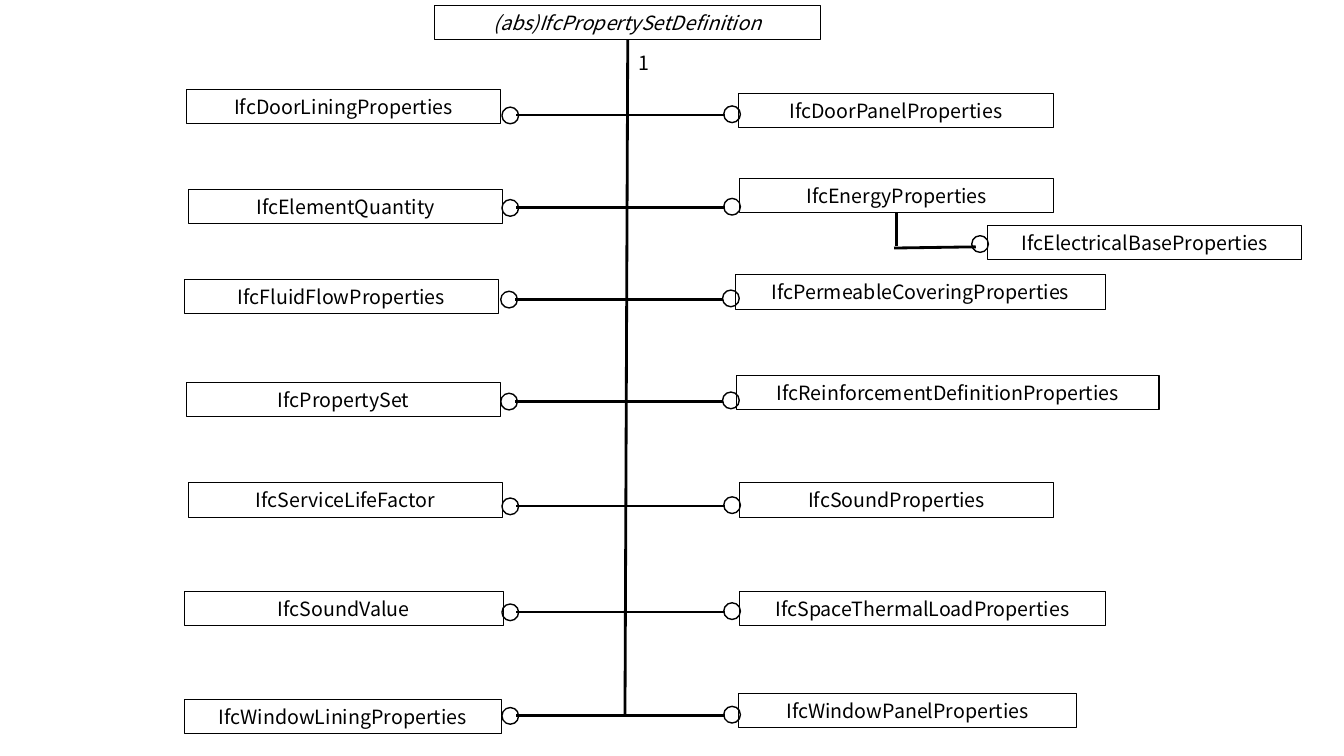
from dataclasses import dataclass
from lxml import etree
from pptx import Presentation
from pptx.dml.color import RGBColor
from pptx.enum.shapes import MSO_CONNECTOR, MSO_SHAPE
from pptx.enum.text import MSO_ANCHOR, PP_ALIGN
from pptx.oxml.ns import qn
from pptx.util import Cm, Pt

RECT, OVAL = MSO_SHAPE.RECTANGLE, MSO_SHAPE.OVAL
LINE = MSO_CONNECTOR.STRAIGHT
MID = MSO_ANCHOR.MIDDLE
LEFT, CENTER = PP_ALIGN.LEFT, PP_ALIGN.CENTER


@dataclass(frozen=True)
class Theme:
    """Colours, type, line widths and shared sizes in centimetres."""
    ink: RGBColor = RGBColor(0, 0, 0)
    font: str = "Noto Sans CJK SC"
    size: float = 14
    edge: float = 0.75
    ring: float = 1
    bar: float = 2
    high: float = 0.86
    dot: float = 0.42


THEME = Theme()

ROWS = [
    (2.9, 0, ("IfcDoorLiningProperties", 4.7, -0.64, 7.92),
     ("IfcDoorPanelProperties", 18.62, -0.54, 7.92)),
    (5.23, 0, ("IfcElementQuantity", 4.75, -0.45, 7.92),
     ("IfcEnergyProperties", 18.64, -0.73, 7.92)),
    (7.54, -0.03, ("IfcFluidFlowProperties", 4.65, -0.5, 7.92),
     ("IfcPermeableCoveringProperties", 18.54, -0.61, 9.32)),
    (10.11, -0.03, ("IfcPropertySet", 4.7, -0.48, 7.92),
     ("IfcReinforcementDefinitionProperties", 18.57, -0.64, 10.64)),
    (12.75, 0, ("IfcServiceLifeFactor", 4.75, -0.58, 7.92),
     ("IfcSoundProperties", 18.64, -0.58, 7.92)),
    (15.42, 0, ("IfcSoundValue", 4.65, -0.51, 8.03),
     ("IfcSpaceThermalLoadProperties", 18.64, -0.51, 9.22)),
    (18.03, 0, ("IfcWindowLiningProperties", 4.65, -0.4, 7.98),
     ("IfcWindowPanelProperties", 18.62, -0.55, 8.51)),
]


def write(shape, text, align, slant=False):
    """Set one line of text in the theme type."""
    frame = shape.text_frame
    frame.text = text
    frame.word_wrap = True
    frame.vertical_anchor = MID
    frame.margin_top = frame.margin_bottom = 0
    para = frame.paragraphs[0]
    para.alignment = align
    font = para.runs[0].font
    font.name, font.size, font.italic = THEME.font, Pt(THEME.size), slant
    font.color.rgb = THEME.ink


def outline(shapes, kind, x, y, w, h, width):
    """Draw an unfilled preset shape."""
    shape = shapes.add_shape(kind, Cm(x), Cm(y), Cm(w), Cm(h))
    shape.shadow.inherit = False
    shape.fill.background()
    shape.line.color.rgb = THEME.ink
    shape.line.width = Pt(width)
    return shape


def label(shapes, text, x, y, w, slant=False):
    """Draw a class box with its name."""
    box = outline(shapes, RECT, x, y, w, THEME.high, THEME.edge)
    write(box, text, CENTER, slant)


def ring(shapes, x, y):
    """Draw the circle that ends a link."""
    outline(shapes, OVAL, x, y, THEME.dot, THEME.dot, THEME.ring)


def link(shapes, x1, y1, x2, y2):
    """Draw a thick straight line."""
    line = shapes.add_connector(LINE, Cm(x1), Cm(y1), Cm(x2), Cm(y2))
    line.line.color.rgb = THEME.ink
    line.line.width = Pt(THEME.bar)
    etree.SubElement(line._element.spPr, qn("a:effectLst"))


def trunk(shapes, x, y, w):
    """Draw the root class, its count and the trunk below it."""
    label(shapes, "(abs)IfcPropertySetDefinition", x, y, w, True)
    link(shapes, x + 4.87, y + THEME.high, x + 4.8, y + 17.88)
    note = shapes.add_textbox(Cm(x + 4.9), Cm(y + 1.01), Cm(1.75), Cm(THEME.high))
    write(note, "1", LEFT)


def row(shapes, y, shift, pair):
    """Draw two classes joined across the trunk at height y."""
    link(shapes, 18.26 + shift, y, 13 + shift, y)
    ring(shapes, 12.65 + shift, y - 0.2)
    ring(shapes, 18.24 + shift, y - 0.23)
    for text, x, rise, w in pair:
        label(shapes, text, x, y + rise, w)


def branch(shapes, x, y, w):
    """Draw the subclass hanging from the class box at x, y."""
    mid = x + w / 2
    link(shapes, x + 5.95, y + 1.72, mid - 0.07, y + 1.75)
    link(shapes, mid, y + 1.7, mid, y + THEME.high)
    label(shapes, "IfcElectricalBaseProperties", x + 6.25, y + 1.24 - 0.05, w)
    ring(shapes, x + 5.85, y + 1.44)


def main():
    """Build the slide and save it."""
    deck = Presentation()
    deck.slide_width, deck.slide_height = Cm(33.87), Cm(19.05)
    shapes = deck.slides.add_slide(deck.slide_layouts[6]).shapes
    trunk(shapes, 10.95, 0.13, 9.73)
    for y, shift, *pair in ROWS:
        row(shapes, y, shift, pair)
    branch(shapes, 18.64, 4.5, 7.92)
    deck.save("out.pptx")


if __name__ == "__main__":
    main()
